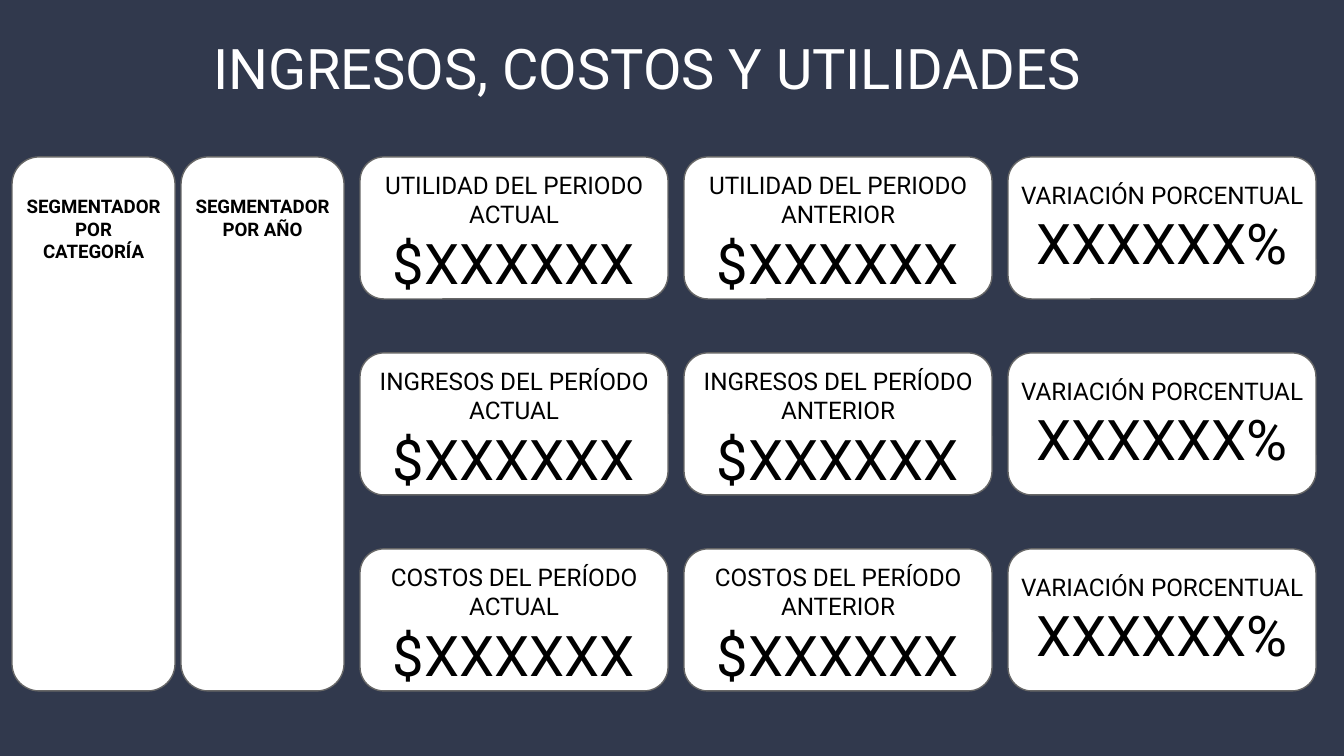
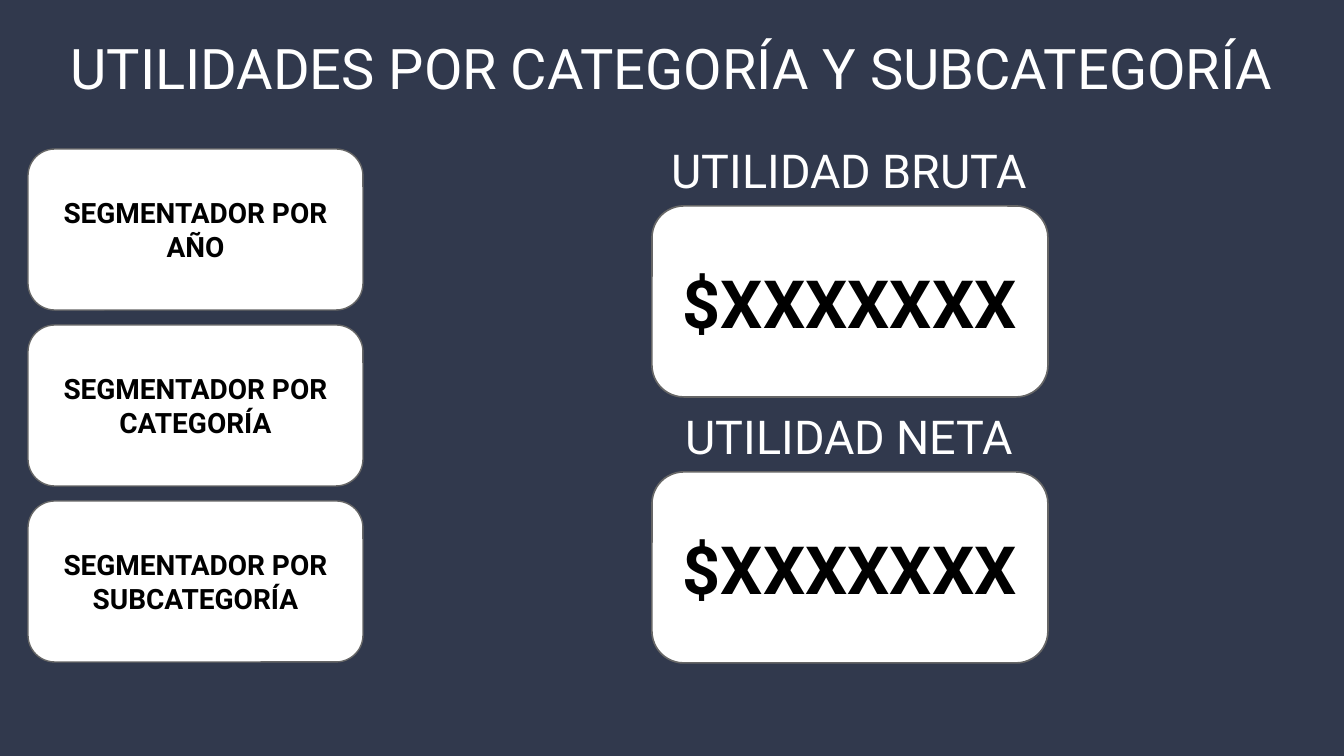
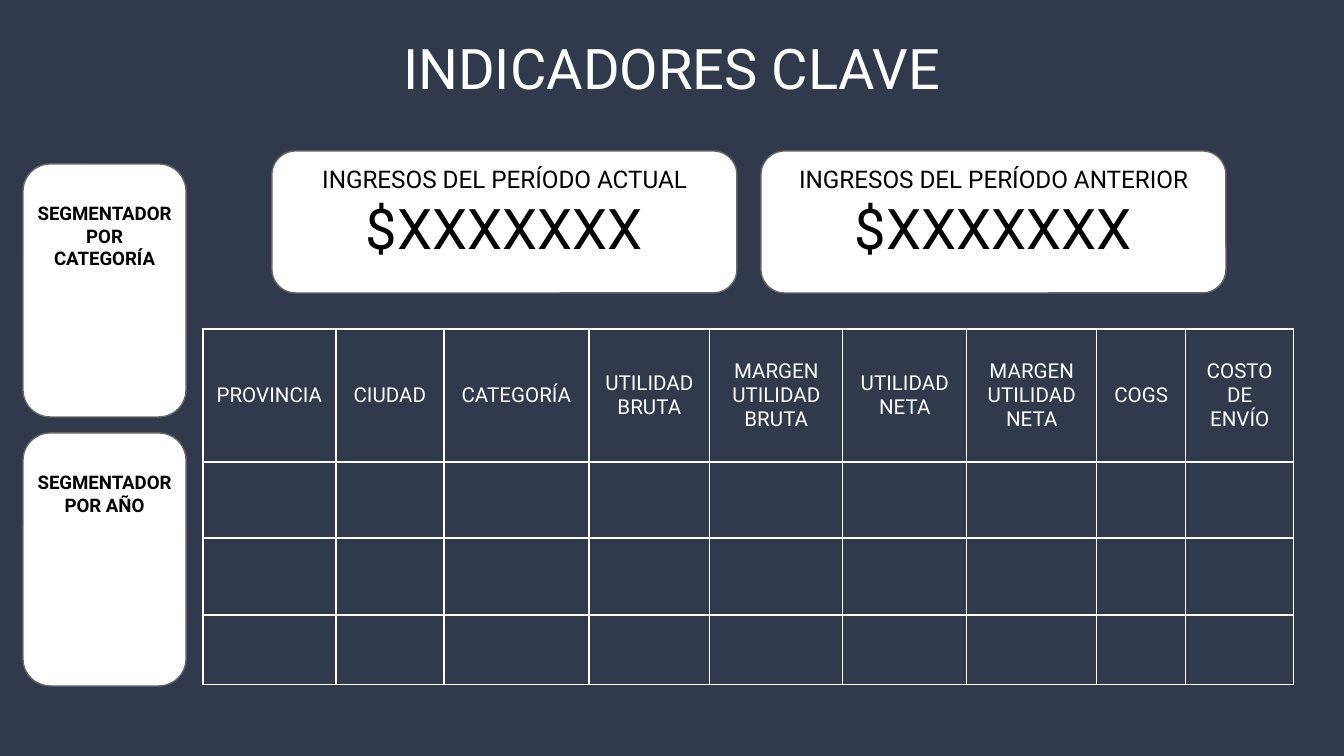
import pptx
import pptx.dml.color
import pptx.enum.shapes
import pptx.enum.text
import pptx.oxml
import pptx.oxml.ns
import pptx.util

# Shared style
PX = 914400 / 134.4
FONT = "Roboto"
NAVY, WHITE, BLACK, GRAY = "31394D", "FFFFFF", "000000", "666666"
TOP = pptx.enum.text.MSO_ANCHOR.TOP
MIDDLE = pptx.enum.text.MSO_ANCHOR.MIDDLE
INSET = 13

# Content
CATEGORY, YEAR = "SEGMENTADOR POR CATEGORÍA", "SEGMENTADOR POR AÑO"
SUBCATEGORY = "SEGMENTADOR POR SUBCATEGORÍA"
AMOUNT, LONG_AMOUNT, PERCENT = "$XXXXXX", "$XXXXXXX", "XXXXXX%"
METRICS = ["UTILIDAD DEL PERIODO", "INGRESOS DEL PERÍODO", "COSTOS DEL PERÍODO"]
PERIODS = ["ACTUAL", "ANTERIOR"]
PROFITS = ["UTILIDAD BRUTA", "UTILIDAD NETA"]
COLUMNS = [
    ("PROVINCIA", 133), ("CIUDAD", 108), ("CATEGORÍA", 145),
    ("UTILIDAD BRUTA", 121), ("MARGEN UTILIDAD BRUTA", 133),
    ("UTILIDAD NETA", 124), ("MARGEN UTILIDAD NETA", 130),
    ("COGS", 89), ("COSTO DE ENVÍO", 108),
]
ROW_HEIGHTS = [133, 76, 77, 70]


def px(length):
    return pptx.util.Emu(round(length * PX))


def color(value):
    return pptx.dml.color.RGBColor.from_string(value)


def fill_frame(frame, lines, ink, bold=False, anchor=MIDDLE, inset=INSET):
    """Write centred (text, size) lines into a text frame."""
    frame.word_wrap = True
    frame.auto_size = pptx.enum.text.MSO_AUTO_SIZE.NONE
    frame.vertical_anchor = anchor
    frame.margin_left = frame.margin_right = px(inset)
    frame.margin_top = frame.margin_bottom = px(inset)
    for index, (text, size) in enumerate(lines):
        para = frame.add_paragraph() if index else frame.paragraphs[0]
        para.text = text
        style_paragraph(para, size, ink, bold)


def style_paragraph(para, size, ink, bold=False):
    para.alignment = pptx.enum.text.PP_ALIGN.CENTER
    para.font.name = FONT
    para.font.size = pptx.util.Pt(size)
    para.font.bold = bold
    para.font.color.rgb = color(ink)


def add_page(deck, title, left=0, width=1344):
    page = deck.slides.add_slide(deck.slide_layouts[5])
    heading = page.shapes.title
    heading.left, heading.top = px(left), px(30)
    heading.width, heading.height = px(width), px(75)
    fill_frame(heading.text_frame, [(title, 30)], WHITE)
    return page


def add_text(page, area, lines, ink=BLACK, **style):
    box = page.shapes.add_textbox(*map(px, area))
    fill_frame(box.text_frame, lines, ink, **style)


def add_card(page, area, line_width=0.75):
    card = page.shapes.add_shape(
        pptx.enum.shapes.MSO_SHAPE.ROUNDED_RECTANGLE, *map(px, area))
    card.shadow.inherit = False
    card.fill.solid()
    card.fill.fore_color.rgb = color(WHITE)
    card.line.color.rgb = color(GRAY)
    card.line.width = pptx.util.Pt(line_width)


def add_metric(page, area, label, value, anchor=TOP):
    add_card(page, area)
    add_text(page, area, [(label, 13), (value, 30)], anchor=anchor)


def add_slicer(page, left, top, height, label):
    add_card(page, (left, top, 163, height))
    add_text(page, (left, top + 25, 163, 97), [(label, 10)],
             bold=True, anchor=TOP)


def format_cell(cell):
    """Give a cell white borders, no fill and even margins."""
    properties = cell._tc.get_or_add_tcPr()
    for side in ("lnL", "lnR", "lnT", "lnB"):
        properties.append(pptx.oxml.parse_xml(
            f'<a:{side} {pptx.oxml.ns.nsdecls("a")} w="9525"><a:solidFill>'
            f'<a:srgbClr val="{WHITE}"/></a:solidFill></a:{side}>'))
    cell.fill.background()
    cell.vertical_anchor = MIDDLE
    cell.margin_left = cell.margin_right = px(INSET)
    cell.margin_top = cell.margin_bottom = px(INSET)


def build_income_page(deck):
    page = add_page(deck, "INGRESOS, COSTOS Y UTILIDADES", 134, 1027)
    for index, label in enumerate([CATEGORY, YEAR]):
        add_slicer(page, 12 + 169 * index, 157, 534, label)
    for row, metric in enumerate(METRICS):
        cards = [(f"{metric} {period}", AMOUNT, TOP) for period in PERIODS]
        cards.append(("VARIACIÓN PORCENTUAL", PERCENT, MIDDLE))
        for column, card in enumerate(cards):
            area = (360 + 324 * column, 157 + 196 * row, 308, 142)
            add_metric(page, area, *card)


def build_profit_page(deck):
    page = add_page(deck, "UTILIDADES POR CATEGORÍA Y SUBCATEGORÍA")
    for index, label in enumerate([YEAR, CATEGORY, SUBCATEGORY]):
        area = (28, 149 + 176 * index, 335, 161)
        add_card(page, area)
        add_text(page, area, [(label, 15)], bold=True)
    for index, label in enumerate(PROFITS):
        top = 132 + 266 * index
        add_text(page, (517, top, 665, 75), [(label, 25)], WHITE)
        area = (652, top + 74, 396, 191)
        add_card(page, area, 0.89)
        add_text(page, area, [(LONG_AMOUNT, 35.6)], bold=True, inset=16)


def build_indicator_page(deck):
    page = add_page(deck, "INDICADORES CLAVE")
    for index, label in enumerate([CATEGORY, YEAR]):
        add_slicer(page, 23, 164 + 269 * index, 253, label)
    for index, period in enumerate(PERIODS):
        area = (272 + 489 * index, 151, 465, 142)
        add_metric(page, area, f"{METRICS[1]} {period}", LONG_AMOUNT)

    # Indicator table
    width = sum(column_width for _, column_width in COLUMNS)
    area = (203, 329, width, sum(ROW_HEIGHTS))
    table = page.shapes.add_table(
        len(ROW_HEIGHTS), len(COLUMNS), *map(px, area)).table
    table.first_row = table.horz_banding = False
    for row, height in zip(table.rows, ROW_HEIGHTS):
        row.height = px(height)
    for index, (label, column_width) in enumerate(COLUMNS):
        table.columns[index].width = px(column_width)
        table.cell(0, index).text = label
    for cell in table.iter_cells():
        format_cell(cell)
        style_paragraph(cell.text_frame.paragraphs[0], 11, WHITE)


def main():
    deck = pptx.Presentation()
    deck.slide_width, deck.slide_height = px(1344), px(756)
    backdrop = deck.slide_master.background.fill
    backdrop.solid()
    backdrop.fore_color.rgb = color(NAVY)
    build_income_page(deck)
    build_profit_page(deck)
    build_indicator_page(deck)
    deck.save("out.pptx")


if __name__ == "__main__":
    main()
